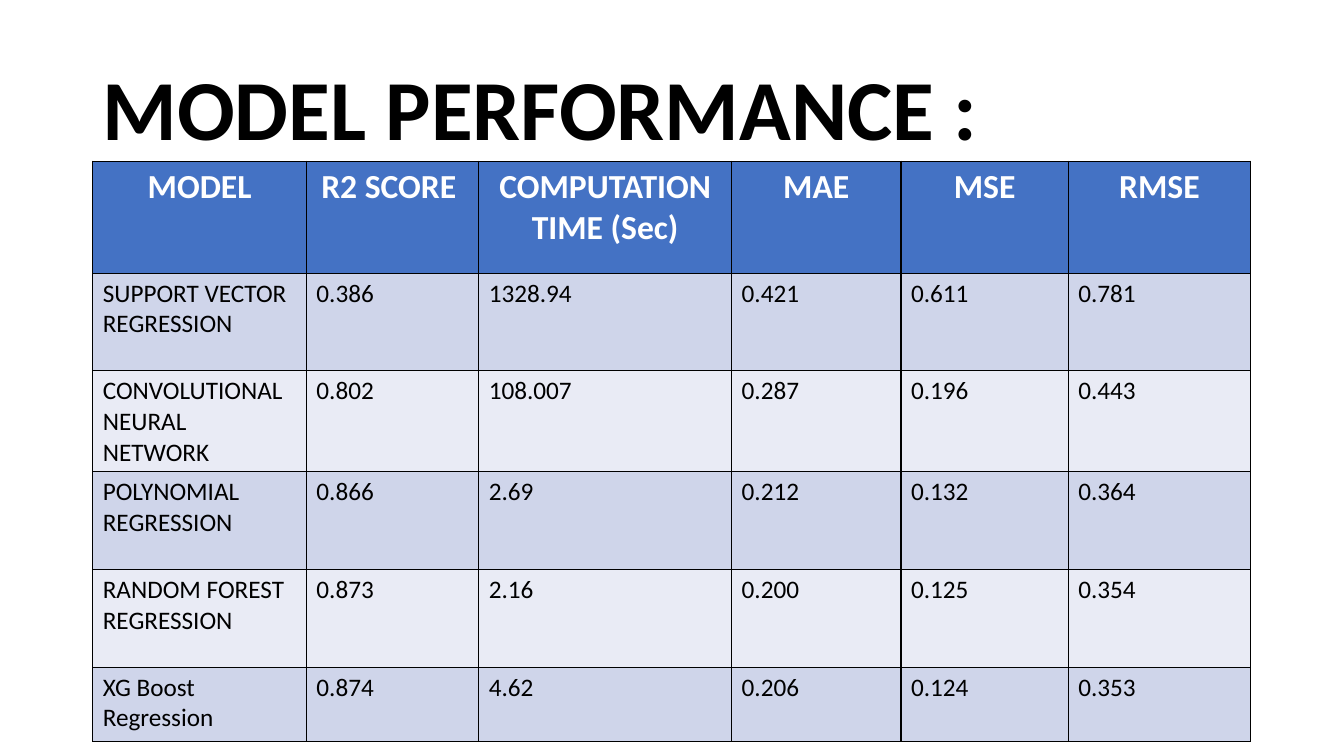
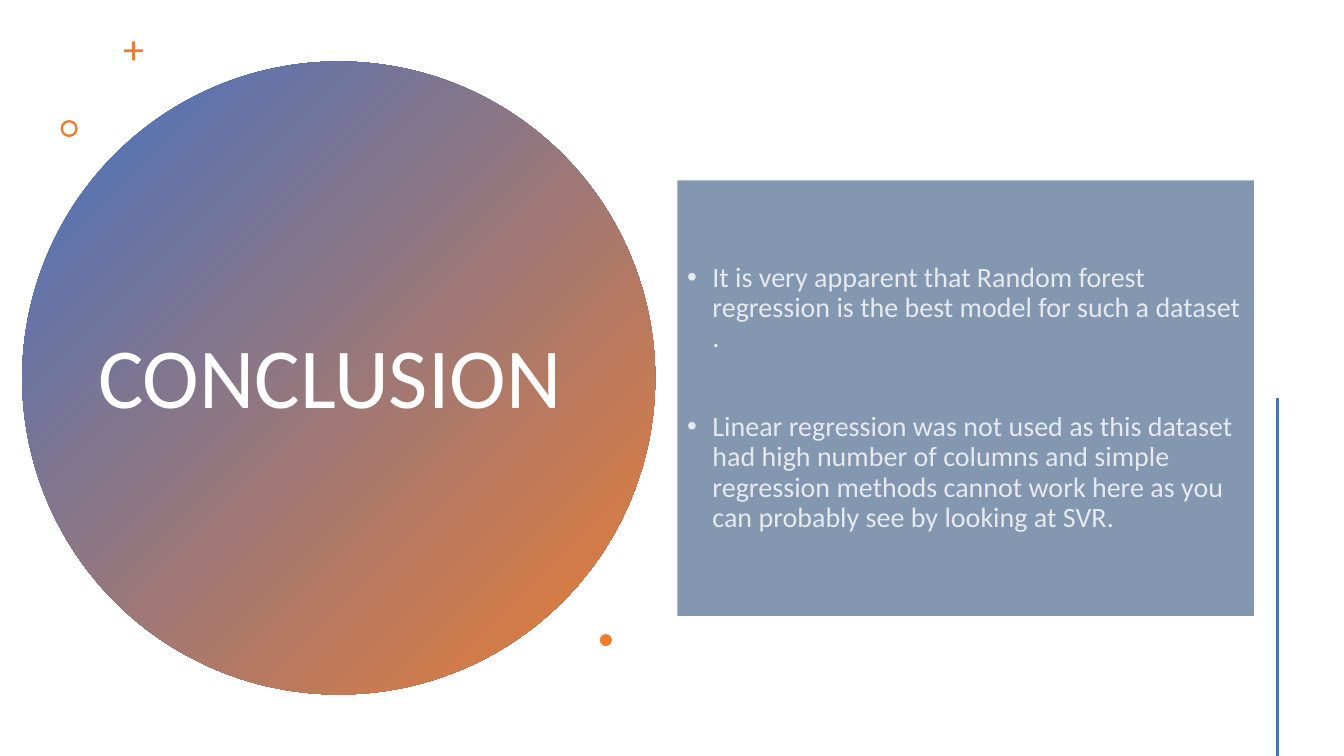
from lxml import etree
from pptx import Presentation
from pptx.dml.color import RGBColor
from pptx.enum.shapes import MSO_CONNECTOR, MSO_SHAPE
from pptx.enum.text import MSO_ANCHOR, PP_ALIGN
from pptx.oxml import parse_xml
from pptx.oxml.ns import nsdecls, qn
from pptx.util import Emu, Inches, Pt

LEFT, CENTER = PP_ALIGN.LEFT, PP_ALIGN.CENTER
MIDDLE = MSO_ANCHOR.MIDDLE
ELLIPSE, RECTANGLE = MSO_SHAPE.OVAL, MSO_SHAPE.RECTANGLE
CROSS, RING = MSO_SHAPE.CROSS, MSO_SHAPE.DONUT
STRAIGHT = MSO_CONNECTOR.STRAIGHT

SLIDE_WIDTH, SLIDE_HEIGHT = Inches(13.333), Inches(7.5)
FONT = "Calibri"
TITLE_SIZE = 61
COLORS = {
    "black": "000000",
    "white": "FFFFFF",
    "blue": "4472C4",
    "orange": "ED7D31",
    "slate": "8497B0",
    "band_dark": "CFD5EA",
    "band_light": "E9EBF5",
}

# Columns and rows of the table, in percent of the slide
COLUMN_SHARES = [15.9, 12.82, 18.82, 12.6, 12.45, 13.58]
ROW_SHARES = [14.8, 12.93, 12, 12.93, 12.93, 9.87]
SCORES = [
    ["MODEL", "R2 SCORE ", "COMPUTATION TIME (Sec)", "MAE", "MSE", "RMSE"],
    ["SUPPORT VECTOR REGRESSION", "0.386", "1328.94", "0.421", "0.611", "0.781"],
    ["CONVOLUTIONAL NEURAL NETWORK", "0.802", "108.007", "0.287", "0.196", "0.443"],
    ["POLYNOMIAL REGRESSION", "0.866", "2.69", "0.212", "0.132", "0.364"],
    ["RANDOM FOREST REGRESSION", "0.873", "2.16", "0.200", "0.125", "0.354"],
    ["XG Boost Regression", "0.874", "4.62", "0.206", "0.124", "0.353"],
]
CONCLUSIONS = [
    "It is very apparent that Random forest regression is the best model "
    "for such a dataset .",
    "Linear regression was not used as this dataset had high number of columns "
    "and simple regression methods cannot work here as you can probably see "
    "by looking at SVR.",
]


def rgb(name):
    return RGBColor.from_string(COLORS[name])


def across(percent):
    return Emu(round(SLIDE_WIDTH * percent / 100))


def down(percent):
    return Emu(round(SLIDE_HEIGHT * percent / 100))


def place(left, top, width, height):
    """Turn percentages of the slide into lengths."""
    return across(left), down(top), across(width), down(height)


def write(para, text, size, color="black", bold=False, align=LEFT, spacing=None):
    para.alignment = align
    para.line_spacing = spacing
    span = para.add_run()
    span.text = text
    span.font.name = FONT
    span.font.size = Pt(size)
    span.font.bold = bold
    span.font.color.rgb = rgb(color)
    return span


def add_title(page, area, text, **text_format):
    frame = page.shapes.add_textbox(*place(*area)).text_frame
    frame.word_wrap = True
    frame.vertical_anchor = MIDDLE
    write(frame.paragraphs[0], text, TITLE_SIZE, spacing=0.9, **text_format)


def add_figure(page, kind, area, color, adjustment=None):
    figure = page.shapes.add_shape(kind, *place(*area))
    figure.shadow.inherit = False
    figure.line.fill.background()
    figure.fill.solid()
    figure.fill.fore_color.rgb = rgb(color)
    if adjustment is not None:
        figure.adjustments[0] = adjustment
    return figure


def fill_gradient(figure, *colors):
    """Blend the colours from top left to bottom right."""
    figure.fill.gradient()
    figure.fill.gradient_angle = 315
    for stop, color in zip(figure.fill.gradient_stops, colors):
        stop.color.rgb = rgb(color)


def add_borders(cell, color, width):
    properties = cell._tc.get_or_add_tcPr()
    for index, side in enumerate(["lnL", "lnR", "lnT", "lnB"]):
        properties.insert(index, parse_xml(
            f'<a:{side} {nsdecls("a")} w="{Pt(width)}"><a:solidFill>'
            f'<a:srgbClr val="{COLORS[color]}"/></a:solidFill></a:{side}>'))


def add_score_table(page, left, top):
    area = place(left, top, sum(COLUMN_SHARES), sum(ROW_SHARES))
    table = page.shapes.add_table(len(SCORES), len(SCORES[0]), *area).table
    for column, share in zip(table.columns, COLUMN_SHARES):
        column.width = across(share)
    for index, (row, share, texts) in enumerate(zip(table.rows, ROW_SHARES, SCORES)):
        row.height = down(share)
        if index == 0:
            fill = "blue"
            text_format = {"size": 24, "color": "white", "bold": True, "align": CENTER}
        else:
            fill = "band_dark" if index % 2 else "band_light"
            text_format = {"size": 18}
        for cell, text in zip(row.cells, texts):
            cell.fill.solid()
            cell.fill.fore_color.rgb = rgb(fill)
            add_borders(cell, "black", 1)
            write(cell.text_frame.paragraphs[0], text, **text_format)


def add_bullet(para, indent):
    properties = para._p.get_or_add_pPr()
    properties.set("marL", str(indent))
    properties.set("indent", str(-indent))
    etree.SubElement(properties, qn("a:buFont"), typeface="Arial")
    etree.SubElement(properties, qn("a:buChar"), char="•")


def set_opacity(span, percent):
    color = span._r.find(".//" + qn("a:srgbClr"))
    etree.SubElement(color, qn("a:alpha"), val=str(percent * 1000))


def add_bullet_panel(page, area, texts):
    frame = add_figure(page, RECTANGLE, area, "slate").text_frame
    frame.word_wrap = True
    frame.vertical_anchor = MIDDLE
    for index, text in enumerate(texts):
        para = frame.add_paragraph() if index else frame.paragraphs[0]
        span = write(para, text, 20, color="white", spacing=0.9)
        para.space_before = Pt(42 if index else 10)
        add_bullet(para, Inches(0.25))
        set_opacity(span, 80)


def add_vertical_line(page, left, top, bottom, color, width):
    line = page.shapes.add_connector(
        STRAIGHT, across(left), down(top), across(left), down(bottom))
    line.line.color.rgb = rgb(color)
    line.line.width = Pt(width)
    etree.SubElement(line._element.spPr, qn("a:effectLst"))


def build_performance(page):
    add_title(page, (6.9, 5.33, 86.25, 19.33), "MODEL PERFORMANCE :", bold=True)
    add_score_table(page, 6.9, 21.33)


def build_conclusion(page):
    disc = add_figure(page, ELLIPSE, (1.65, 8.13, 47.1, 83.73), "blue")
    fill_gradient(disc, "blue", "orange")
    add_title(page, (5.25, 19.2, 38.55, 62.27), "CONCLUSION",
              color="white", align=CENTER)
    add_figure(page, CROSS, (9.23, 5.47, 1.42, 2.53), "orange", 0.43)
    add_figure(page, RING, (4.5, 15.87, 1.28, 2.27), "orange", 0.14)
    add_bullet_panel(page, (50.4, 23.87, 42.9, 57.6), CONCLUSIONS)
    add_figure(page, ELLIPSE, (44.63, 83.87, 0.9, 1.6), "orange")
    add_vertical_line(page, 95.03, 52.67, 100, "blue", 2)


def main():
    deck = Presentation()
    deck.slide_width, deck.slide_height = SLIDE_WIDTH, SLIDE_HEIGHT
    blank = deck.slide_layouts[6]
    for build in (build_performance, build_conclusion):
        build(deck.slides.add_slide(blank))
    deck.save("out.pptx")


if __name__ == "__main__":
    main()
